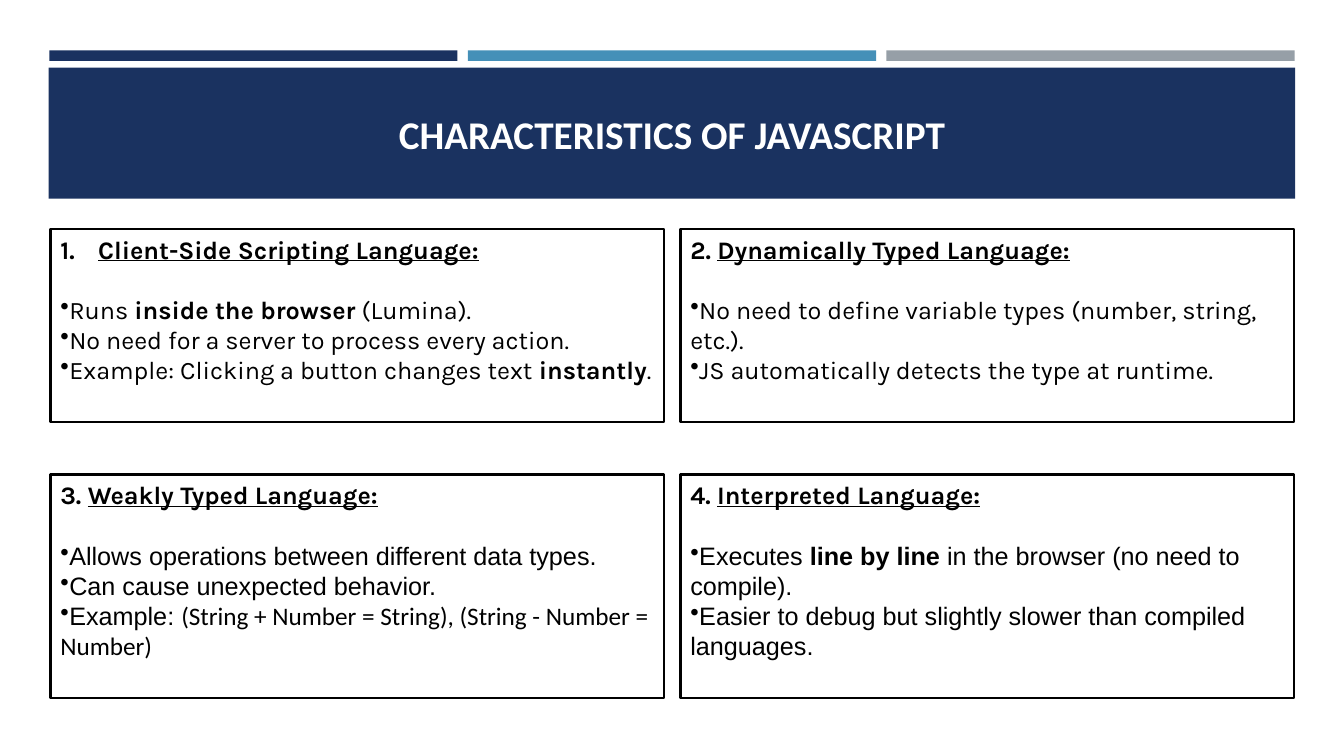
from lxml import etree
from pptx import Presentation
from pptx.dml.color import RGBColor
from pptx.enum.shapes import MSO_SHAPE
from pptx.enum.text import MSO_ANCHOR, PP_ALIGN
from pptx.oxml.ns import qn
from pptx.util import Pt

RECT = MSO_SHAPE.RECTANGLE
TOP, MIDDLE = MSO_ANCHOR.TOP, MSO_ANCHOR.MIDDLE
LEFT, CENTER = PP_ALIGN.LEFT, PP_ALIGN.CENTER
COLORS = {"navy": "1A3260", "blue": "4590B8", "gray": "969FA7",
          "white": "FFFFFF", "black": "000000"}
KARLA, ARIAL, CALIBRI = "Karla", "Arial", "Calibri"

CARDS = [
    ("", "Client-Side Scripting Language:", [
        [("Runs ", KARLA, False), ("inside the browser", KARLA, True),
         (" (Lumina).", KARLA, False)],
        [("No need for a server to process every action.", KARLA, False)],
        [("Example: Clicking a button changes text ", KARLA, False),
         ("instantly", KARLA, True), (".", KARLA, False)],
    ]),
    ("2. ", "Dynamically Typed Language:", [
        [("No need to define variable types (number, string, etc.).", KARLA, False)],
        [("JS automatically detects the type at runtime.", KARLA, False)],
    ]),
    ("3. ", "Weakly Typed Language:", [
        [("Allows operations between different data types.", ARIAL, False)],
        [("Can cause unexpected behavior.", ARIAL, False)],
        [("Example: ", ARIAL, False),
         ("(String + Number = String), (String - Number = Number)", CALIBRI, False)],
    ]),
    ("4. ", "Interpreted Language:", [
        [("Executes ", ARIAL, False), ("line by line", ARIAL, True),
         (" in the browser (no need to compile).", ARIAL, False)],
        [("Easier to debug but slightly slower than compiled languages.", ARIAL, False)],
    ]),
]


def rgb(name):
    """Return the named colour."""
    return RGBColor.from_string(COLORS[name])


def add_box(slide, x, y, w, h, fill, line=None):
    """Add a flat rectangle, outlined if a line colour is given."""
    box = slide.shapes.add_shape(RECT, Pt(x), Pt(y), Pt(w), Pt(h))
    box.shadow.inherit = False
    box.fill.solid()
    box.fill.fore_color.rgb = rgb(fill)
    if line:
        box.line.color.rgb = rgb(line)
        box.line.width = Pt(1.75)
    else:
        box.line.fill.background()
    return box


def add_run(para, text, face, bold, size=18, color="black", under=False):
    """Append one formatted run."""
    run = para.add_run()
    run.text = text
    font = run.font
    font.name, font.size, font.bold = face, Pt(size), bold
    font.underline = under
    font.color.rgb = rgb(color)


def set_mark(para, tag, indent=0, **attrs):
    """Give a paragraph a bullet or an automatic number."""
    props = para._p.get_or_add_pPr()
    props.set("marL", str(Pt(indent)))
    props.set("indent", str(-Pt(indent)))
    etree.SubElement(props, qn(tag), attrs)


def add_title(slide, banner, text):
    """Place the title in front of its banner."""
    title = slide.shapes.title
    banner.element.addnext(title.element)
    title.left, title.top, title.width, title.height = Pt(46), Pt(55.4), Pt(868), Pt(80)
    frame = title.text_frame
    frame.word_wrap = True
    frame.vertical_anchor = MIDDLE
    para = frame.paragraphs[0]
    para.alignment = CENTER
    add_run(para, text, CALIBRI, True, 28, "white")


def add_card(slide, x, y, h, number, head, points):
    """Add an outlined card with a heading and bullet points."""
    frame = add_box(slide, x, y, 438.5, h, "white", "black").text_frame
    frame.word_wrap = True
    frame.vertical_anchor = TOP
    para = frame.paragraphs[0]
    para.alignment = LEFT
    para.space_after = Pt(21.6)
    if number:
        add_run(para, number, KARLA, True)
    else:
        set_mark(para, "a:buAutoNum", 27, type="arabicPeriod")
    add_run(para, head, KARLA, True, under=True)
    for runs in points:
        para = frame.add_paragraph()
        para.alignment = LEFT
        set_mark(para, "a:buChar", char="•")
        for text, face, bold in runs:
            add_run(para, text, face, bold)


def main():
    """Build and save the slide."""
    deck = Presentation()
    deck.slide_width, deck.slide_height = Pt(960), Pt(540)
    slide = deck.slides.add_slide(deck.slide_layouts[5])
    for col, fill in enumerate(("navy", "blue", "gray")):
        add_box(slide, 35.2 + col * 299, 36, 291.6, 7.5, fill)
    banner = add_box(slide, 34.8, 48.3, 890.4, 93.6, "navy")
    add_title(slide, banner, "CHARACTERISTICS OF JAVASCRIPT")
    rows = ((163.5, 138), (339, 159.7))
    for index, card in enumerate(CARDS):
        row, col = divmod(index, 2)
        top, height = rows[row]
        add_card(slide, 36 + col * 450, top, height, *card)
    deck.save("out.pptx")


if __name__ == "__main__":
    main()
